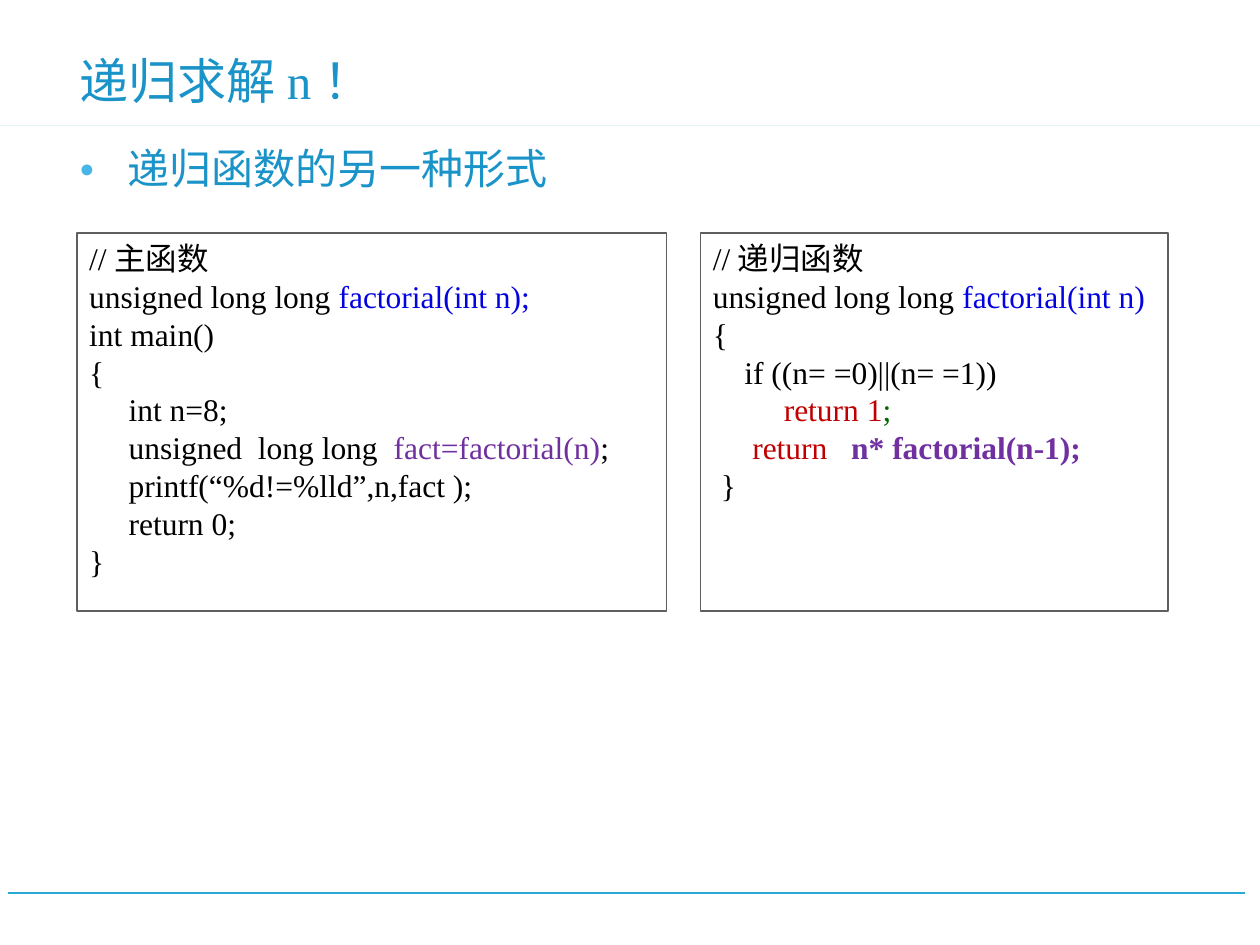
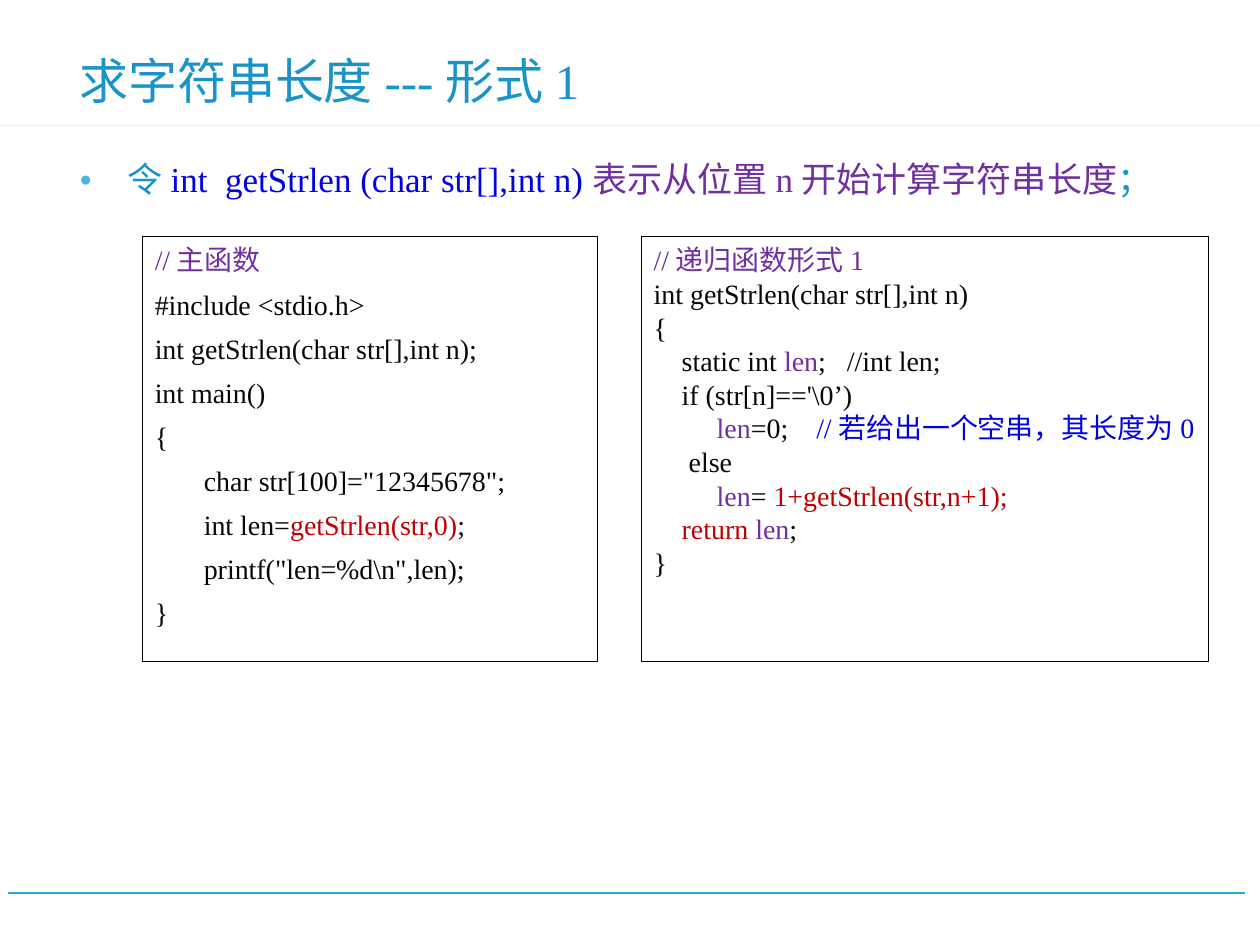
from lxml import etree
from pptx import Presentation
from pptx import util as u
from pptx.dml.color import RGBColor
from pptx.enum import lang, shapes, text
from pptx.oxml import ns

FONT = "Times New Roman"
ACCENT, HEADING, BULLET = "28A9D6", "1A93C8", "47B6E7"
BLUE, PURPLE, RED, GREEN = "0303DF", "7030A0", "C00000", "006600"
BLACK, INK, GREY, WHITE = "000000", "080808", "5F5F5F", "FFFFFF"


def rgb(hex_colour):
    return RGBColor.from_string(hex_colour)


def place(shape, left, top, width, height):
    shape.left, shape.top = u.Inches(left), u.Inches(top)
    shape.width, shape.height = u.Inches(width), u.Inches(height)


class Deck:
    def __init__(self):
        self.prs = Presentation()
        self.prs.slide_width, self.prs.slide_height = u.Inches(10), u.Inches(7.5)
        self.slide = None

    def new_slide(self, heading):
        self.slide = self.prs.slides.add_slide(self.prs.slide_layouts[1])
        self.footer_rule()
        self.title_band()
        self.title(heading)

    def footer_rule(self):
        rule = self.slide.shapes.add_connector(
            shapes.MSO_CONNECTOR.STRAIGHT,
            u.Inches(9.88), u.Inches(7.09), u.Inches(0.06), u.Inches(7.09))
        rule.line.color.rgb = rgb(ACCENT)
        rule.line.width = u.Pt(1.25)
        etree.SubElement(rule._element.spPr, ns.qn("a:effectLst"))

    def title_band(self):
        """Double bar left of the title, running into a tapering underline."""
        outline = [(0.41, 0.92), (1.4, 0.92), (10, 0.94), (0.39, 0.94),
                   (0.39, 0.48), (0.36, 0.48), (0.36, 0.94), (0.27, 0.94),
                   (0.27, 0.46), (0.3, 0.46), (0.3, 0.91), (0.33, 0.91),
                   (0.33, 0.46)]
        builder = self.slide.shapes.build_freeform(0.41, 0.46, scale=u.Inches(1))
        builder.add_line_segments(outline, close=True)
        band = builder.convert_to_shape()
        band.shadow.inherit = False
        band.fill.solid()
        band.fill.fore_color.rgb = rgb(ACCENT)
        band.line.fill.background()

    def runs(self, paragraph, parts, size):
        """Each part is (words, colour) or (words, colour, bold)."""
        for words, colour, *bold in parts:
            run = paragraph.add_run()
            run.text = words
            run.font.name, run.font.size = FONT, u.Pt(size)
            run.font.color.rgb = rgb(colour)
            run.font.bold = bool(bold)
            run.font.language_id = lang.MSO_LANGUAGE_ID.SIMPLIFIED_CHINESE

    def placeholder_line(self, holder, parts, size, anchor):
        frame = holder.text_frame
        frame.word_wrap = True
        frame.auto_size = text.MSO_AUTO_SIZE.NONE
        frame.vertical_anchor = anchor
        paragraph = frame.paragraphs[0]
        paragraph.alignment = text.PP_ALIGN.LEFT
        paragraph.line_spacing = 0.9
        self.runs(paragraph, parts, size)
        return paragraph

    def title(self, heading):
        holder = self.slide.shapes.title
        place(holder, 0.53, 0.28, 8.85, 0.64)
        self.placeholder_line(holder, [(heading, HEADING)], 28,
                              text.MSO_ANCHOR.BOTTOM)

    def bullet(self, parts, size, top, width):
        holder = self.slide.placeholders[1]
        place(holder, 0.53, top, width, 0.64)
        point = self.placeholder_line(holder, parts, size, text.MSO_ANCHOR.TOP)
        point.space_before = u.Pt(13.5)
        props = point._p.get_or_add_pPr()
        props.set("marL", str(u.Inches(0.38)))
        props.set("indent", str(-u.Inches(0.38)))
        colour = etree.SubElement(props, ns.qn("a:buClr"))
        etree.SubElement(colour, ns.qn("a:srgbClr"), val=BULLET)
        etree.SubElement(props, ns.qn("a:buSzPct"), val="60000")
        etree.SubElement(props, ns.qn("a:buChar"), char="●")

    def code_box(self, box, lines, size, border, weight, fill=None, gap=0):
        """Each line is (indent in characters, parts)."""
        panel = self.slide.shapes.add_shape(
            shapes.MSO_SHAPE.RECTANGLE, *(u.Inches(n) for n in box))
        panel.shadow.inherit = False
        if fill:
            panel.fill.solid()
            panel.fill.fore_color.rgb = rgb(fill)
        else:
            panel.fill.background()
        panel.line.color.rgb = rgb(border)
        panel.line.width = u.Pt(weight)
        frame = panel.text_frame
        frame.word_wrap = True
        frame.margin_right = 0
        frame.vertical_anchor = text.MSO_ANCHOR.TOP
        for number, (indent, parts) in enumerate(lines):
            line = frame.add_paragraph() if number else frame.paragraphs[0]
            line.alignment = text.PP_ALIGN.LEFT
            line.line_spacing = u.Pt(size * 1.2)
            line.space_before = u.Pt(gap)
            # A space is a quarter of the type size wide
            line._p.get_or_add_pPr().set("marL", str(u.Pt(indent * size / 4)))
            self.runs(line, parts, size)


def factorial_slide(deck):
    deck.new_slide("递归求解n！")
    deck.bullet([("递归函数的另一种形式", HEADING)], 24, top=1.13, width=9.18)
    style = dict(size=18, border=GREY, weight=1, fill=WHITE)

    # Recursive function
    deck.code_box((5.56, 1.85, 3.71, 3), [
        (0, [("//递归函数", BLACK)]),
        (0, [("unsigned long long ", BLACK), ("factorial(int n)", BLUE)]),
        (0, [("{", BLACK)]),
        (4, [("if ((n= =0)||(n= =1))", BLACK)]),
        (9, [("return 1", RED), (";", GREEN)]),
        (5, [("return   ", RED), ("n* factorial(n-1);", PURPLE, True)]),
        (1, [("}", BLACK)]),
    ], **style)

    # Main function
    deck.code_box((0.61, 1.85, 4.68, 3), [
        (0, [("//主函数", BLACK)]),
        (0, [("unsigned long long ", BLACK), ("factorial(int n);", BLUE)]),
        (0, [("int main()", BLACK)]),
        (0, [("{", BLACK)]),
        (5, [("int n=8;", BLACK)]),
        (5, [("unsigned  long long  ", BLACK), ("fact=factorial(n)", PURPLE),
             (";", BLACK)]),
        (5, [("printf(“%d!=%lld”,n,fact );", BLACK)]),
        (5, [("return 0;", BLACK)]),
        (0, [("}", BLACK)]),
    ], **style)


def string_length_slide(deck):
    deck.new_slide("求字符串长度---形式1")
    deck.bullet([("令", HEADING), ("int  getStrlen (char str[],int n)", BLUE),
                 ("表示从位置n开始计算字符串长度", PURPLE), ("；", HEADING)],
                20, top=1.24, width=8.62)
    style = dict(size=16, border=BLACK, weight=0.75)
    length = ("len", PURPLE)

    # Recursive function
    deck.code_box((5.09, 1.88, 4.5, 3.37), [
        (0, [("//递归函数形式1", PURPLE)]),
        (0, [("int getStrlen(char str[],int n)", INK)]),
        (0, [("{", INK)]),
        (4, [("static int ", INK), length, (";   //int len;", INK)]),
        (4, [("if (str[n]=='\\0’)", INK)]),
        (9, [length, ("=0;    ", INK), ("//若给出一个空串，其长度为0", BLUE)]),
        (5, [("else", INK)]),
        (9, [length, ("= ", INK), ("1+getStrlen(str,n+1);", RED)]),
        (4, [("return ", RED), length, (";", INK)]),
        (0, [("}", INK)]),
    ], **style)

    # Main function
    deck.code_box((1.13, 1.88, 3.61, 3.37), [
        (0, [("//主函数", PURPLE)]),
        (0, [("#include <stdio.h>", INK)]),
        (0, [("int getStrlen(char str[],int n);", INK)]),
        (0, [("int main()", INK)]),
        (0, [("{", INK)]),
        (7, [('char str[100]="12345678";', INK)]),
        (7, [("int len=", INK), ("getStrlen(str,0)", RED), (";", INK)]),
        (7, [('printf("len=%d\\n",len);', INK)]),
        (0, [("}", INK)]),
    ], gap=6, **style)


def main():
    deck = Deck()
    factorial_slide(deck)
    string_length_slide(deck)
    deck.prs.save("out.pptx")


if __name__ == "__main__":
    main()
